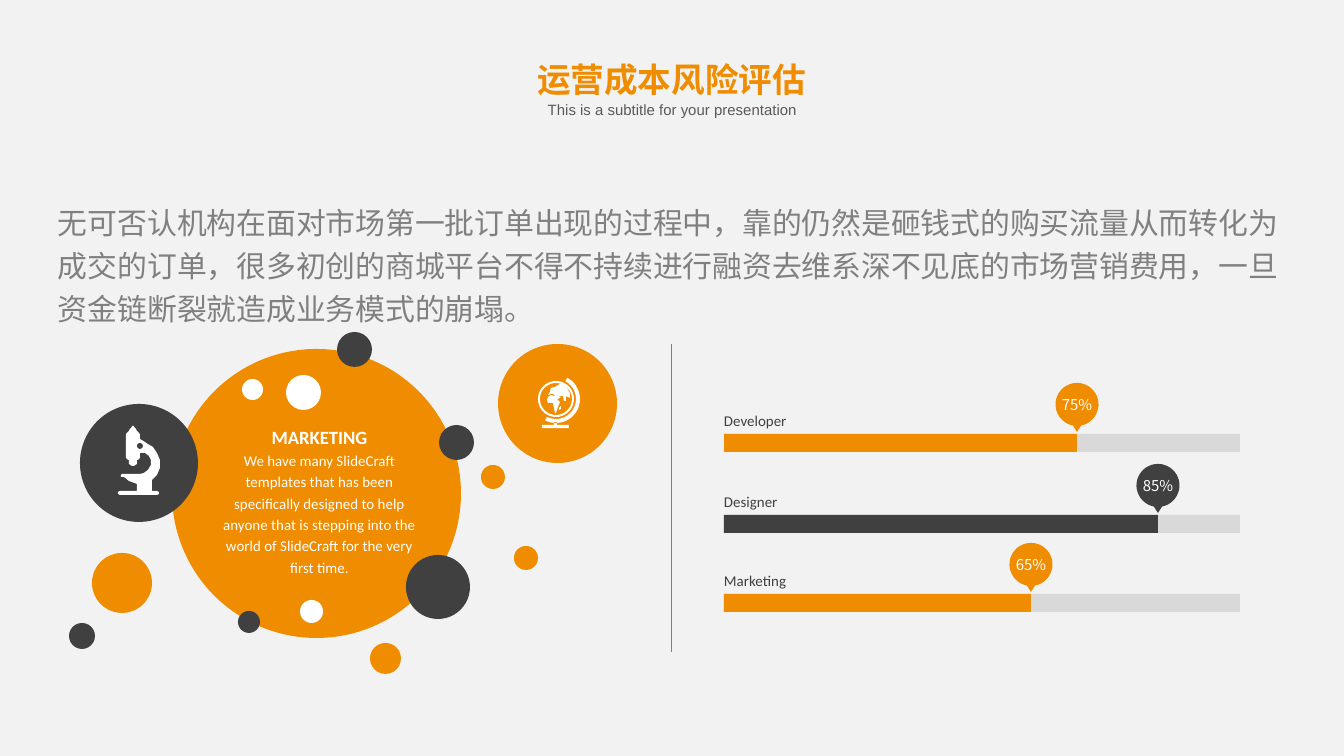
from dataclasses import dataclass
from math import cos, radians, sin
from typing import NamedTuple

from lxml import etree
from pptx import Presentation
from pptx.dml.color import RGBColor
from pptx.enum import shapes as es, text as et
from pptx.oxml import ns
from pptx.util import Pt

PX = 914400 / 134.4  # EMU in one px
FINE = 10            # freeform steps in one px


@dataclass(frozen=True)
class Theme:
    back: str = "F2F2F2"
    main: str = "F08C00"
    dark: str = "404040"
    white: str = "FFFFFF"
    track: str = "D9D9D9"
    gray: str = "808080"
    sub: str = "595959"
    sans: str = "Calibri"
    cjk: str = "Noto Sans CJK SC"
    plain: str = "Arial"
    title: int = 18
    body: int = 16
    head: int = 10
    small: int = 8


T = Theme()


class Dot(NamedTuple):
    x: int
    y: int
    size: int
    color: str


class Skill(NamedTuple):
    name: str
    value: str
    y: int
    width: int
    color: str


class Line(NamedTuple):
    text: str
    size: int
    color: str
    font: str = T.sans
    bold: bool = False


def emu(px: float) -> int:
    return round(px * PX)


def paint(shape, color: str) -> None:
    shape.shadow.inherit = False
    shape.fill.solid()
    shape.fill.fore_color.rgb = RGBColor.from_string(color)
    shape.line.fill.background()


def draw(slide, kind, x: int, y: int, w: int, h: int, color: str) -> None:
    paint(slide.shapes.add_shape(kind, emu(x), emu(y), emu(w), emu(h)), color)


def write(slide, x: int, y: int, w: int, h: int, lines: list[Line],
          center: bool = True, wrap: bool = True, space: float = 1.0) -> None:
    frame = slide.shapes.add_textbox(emu(x), emu(y), emu(w), emu(h)).text_frame
    frame.word_wrap = wrap
    frame.margin_left = frame.margin_right = 0
    frame.margin_top = frame.margin_bottom = 0
    for i, line in enumerate(lines):
        para = frame.add_paragraph() if i else frame.paragraphs[0]
        para.text = line.text
        para.alignment = et.PP_ALIGN.CENTER if center else et.PP_ALIGN.LEFT
        para.line_spacing = space
        font = para.font
        font.name, font.size, font.bold = line.font, Pt(line.size), line.bold
        font.color.rgb = RGBColor.from_string(line.color)


def trace(slide, loops: list[list[tuple]], color: str) -> None:
    fine = [[(x * FINE, y * FINE) for x, y in loop] for loop in loops]
    pen = slide.shapes.build_freeform(*fine[0][0], scale=PX / FINE)
    for i, loop in enumerate(fine):
        if i:
            pen.move_to(*loop[0])
        pen.add_line_segments(loop[1:], close=True)
    paint(pen.convert_to_shape(), color)


def arc(x: float, y: float, r: float, start: int = 0, end: int = 360) -> list[tuple]:
    turns = [radians(start + (end - start) * i / 40) for i in range(41)]
    return [(x + r * cos(a), y + r * sin(a)) for a in turns]


DOTS = [
    Dot(172, 349, 289, T.main), Dot(286, 375, 35, T.white),
    Dot(337, 332, 35, T.dark), Dot(242, 379, 21, T.white),
    Dot(439, 425, 35, T.dark), Dot(481, 465, 24, T.main),
    Dot(514, 546, 24, T.main), Dot(406, 555, 64, T.dark),
    Dot(238, 611, 22, T.dark), Dot(300, 600, 23, T.white),
    Dot(370, 643, 31, T.main), Dot(92, 553, 60, T.main),
    Dot(69, 623, 26, T.dark), Dot(80, 404, 118, T.dark),
    Dot(498, 344, 119, T.main),
]

SCOPE = [
    [(157, 491), (152, 491), (152, 480), (157, 475), (160, 468), (160, 460),
     (157, 453), (153, 447), (146, 443), (145, 442), (140, 439), (140, 434),
     (137, 431), (136, 429), (134, 427), (134, 426), (132, 426), (132, 427),
     (130, 429), (129, 431), (126, 434), (126, 458), (128, 460), (129, 460),
     (129, 464), (132, 466), (134, 466), (137, 464), (137, 460), (138, 460),
     (140, 458), (140, 453), (142, 453), (145, 453), (149, 456), (151, 460),
     (151, 465), (148, 470), (144, 473), (140, 474), (122, 474), (121, 475),
     (121, 477), (124, 477), (129, 481), (137, 484), (137, 491), (120, 491),
     (118, 492), (118, 494), (120, 495), (157, 495), (159, 494), (159, 492)],
    arc(140, 446, 3),
]

GLOBE = [
    arc(556, 399, 18), arc(556, 399, 16),
    # stand
    arc(556, 399, 24, -62, 117) + arc(556, 399, 20, 117, -62),
    [(554, 422), (557, 422), (557, 425), (569, 425), (569, 428),
     (542, 428), (542, 425), (554, 425)],
    # land
    [(560, 384), (555, 387), (551, 388), (550, 392), (548, 395), (551, 394),
     (553, 394), (555, 395), (555, 396), (551, 395), (548, 397), (547, 400),
     (548, 403), (553, 403), (555, 413), (556, 413), (558, 407), (560, 402),
     (558, 400), (556, 397), (558, 399), (561, 397), (558, 396), (563, 396),
     (564, 401), (566, 401), (566, 396), (570, 398), (570, 393), (567, 388),
     (564, 385)],
    [(561, 406), (559, 408), (559, 410), (561, 409)],
]

BAR_X, BAR_W, BAR_H = 724, 516, 18
SKILLS = [
    Skill("Developer", "75%", 434, 353, T.main),
    Skill("Designer", "85%", 515, 434, T.dark),
    Skill("Marketing", "65%", 594, 307, T.main),
]


def gauge(slide, skill: Skill) -> None:
    rect = es.MSO_SHAPE.RECTANGLE
    draw(slide, rect, BAR_X, skill.y, BAR_W, BAR_H, T.track)
    draw(slide, rect, BAR_X, skill.y, skill.width, BAR_H, skill.color)
    tip = BAR_X + skill.width
    pin = arc(tip, skill.y - 29.5, 21.5, 101, 439) + [(tip, skill.y - 2)]
    trace(slide, [pin], skill.color)
    write(slide, tip - 16, skill.y - 38, 32, 18,
          [Line(skill.value, T.small, T.white, T.cjk)], wrap=False)
    write(slide, BAR_X, skill.y - 22, 80, 18,
          [Line(skill.name, T.small, T.dark)], center=False, wrap=False)


def main() -> None:
    deck = Presentation()
    deck.slide_width, deck.slide_height = emu(1344), emu(756)
    slide = deck.slides.add_slide(deck.slide_layouts[6])
    slide.background.fill.solid()
    slide.background.fill.fore_color.rgb = RGBColor.from_string(T.back)

    # Heading and introduction
    write(slide, 508, 59, 327, 40,
          [Line("运营成本风险评估", T.title, T.main, T.cjk, True)])
    write(slide, 540, 101, 265, 18,
          [Line("This is a subtitle for your presentation", T.small, T.sub, T.plain)])
    write(slide, 58, 198, 1227, 130, [Line(
        "无可否认机构在面对市场第⼀批订单出现的过程中，靠的仍然是砸钱式的购买流量从而"
        "转化为成交的订单，很多初创的商城平台不得不持续进行融资去维系深不见底的市场营销"
        "费用，⼀旦资金链断裂就造成业务模式的崩塌。", T.body, T.gray)],
          center=False, space=1.2)

    # Circles, icons and their message
    for dot in DOTS:
        draw(slide, es.MSO_SHAPE.OVAL, dot.x, dot.y, dot.size, dot.size, dot.color)
    trace(slide, SCOPE, T.white)
    trace(slide, GLOBE, T.white)
    write(slide, 214, 421, 211, 156, [
        Line("MARKETING", T.head, T.white, bold=True),
        Line("We have many SlideCraft templates that has been specifically designed "
             "to help anyone that is stepping into the world of SlideCraft for the "
             "very first time.", T.small, T.white)], space=1.2)

    # Divider
    rule = slide.shapes.add_connector(
        es.MSO_CONNECTOR.STRAIGHT, emu(671), emu(344), emu(671), emu(652))
    rule.line.color.rgb = RGBColor.from_string(T.gray)
    rule.line.width = Pt(0.5)
    etree.SubElement(rule._element.spPr, ns.qn("a:effectLst"))

    # Skill bars
    for skill in SKILLS:
        gauge(slide, skill)

    deck.save("out.pptx")


if __name__ == "__main__":
    main()
